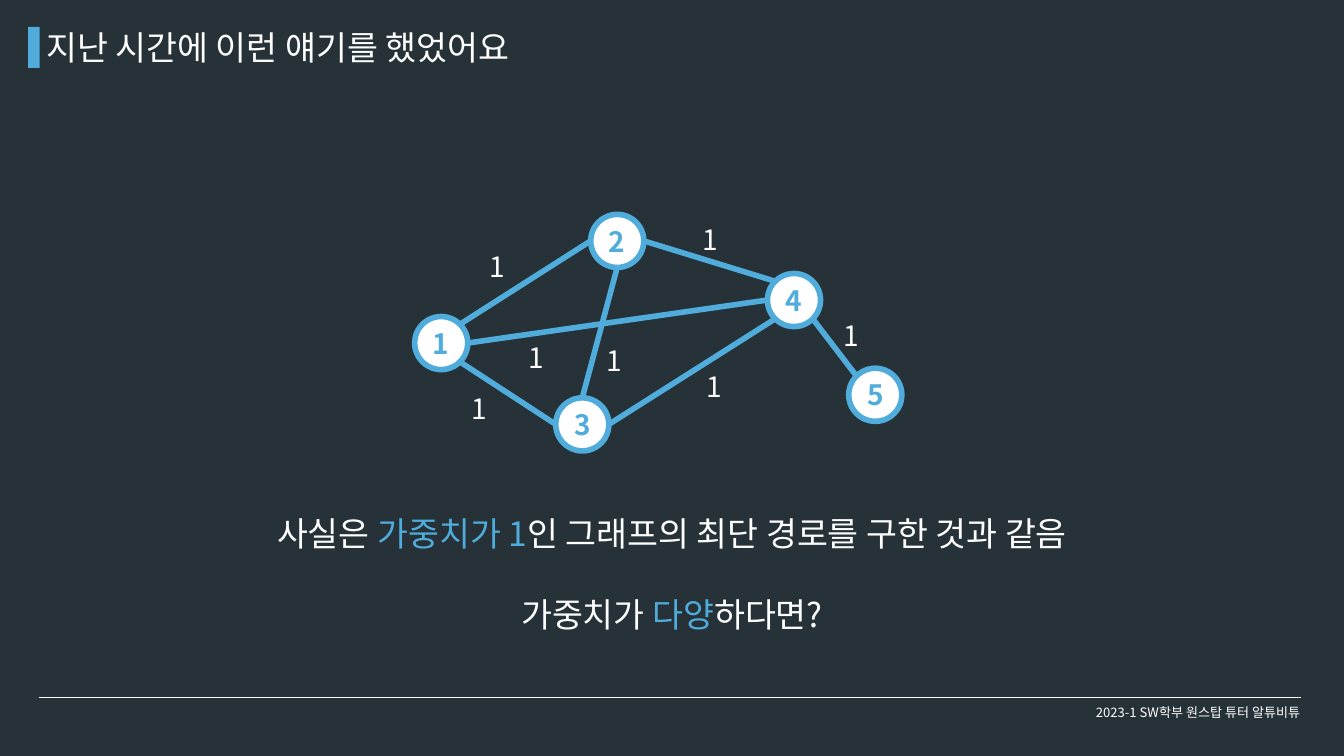
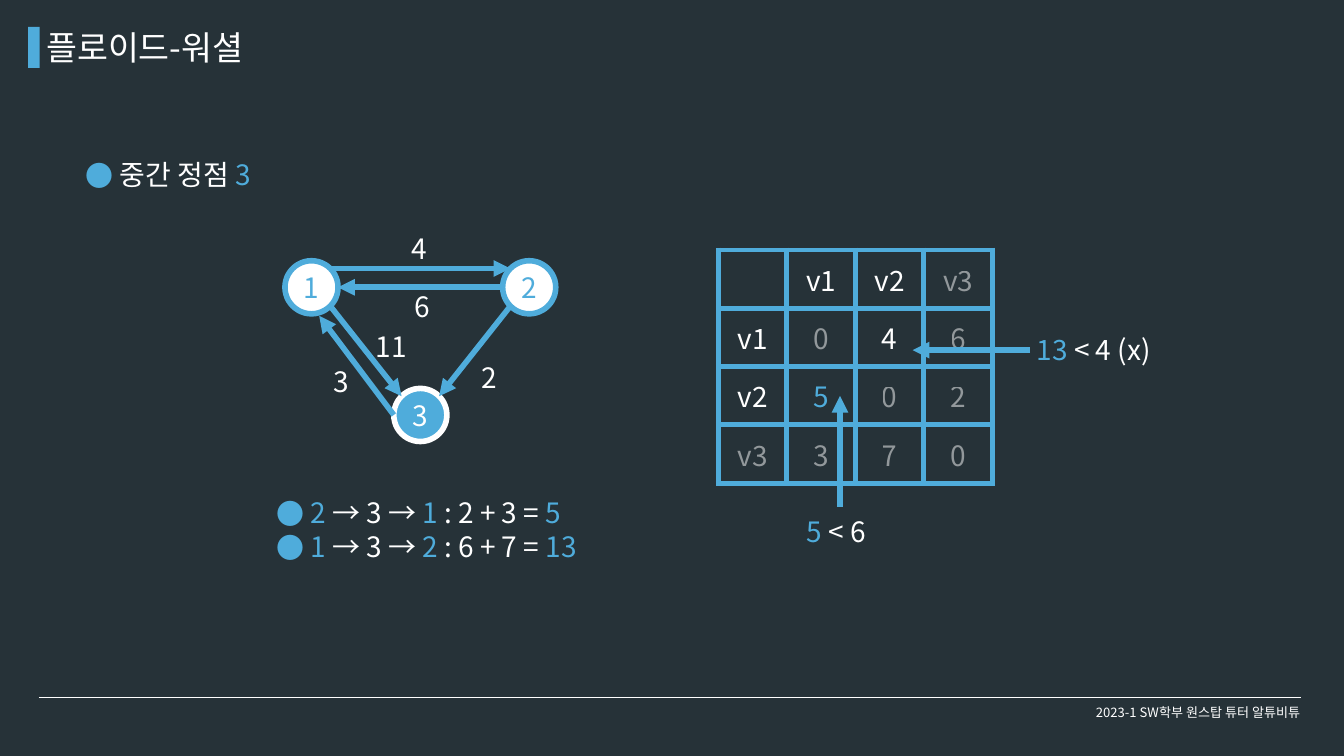
import lxml.etree
import pptx
import pptx.dml.color
import pptx.enum.shapes
import pptx.enum.text
import pptx.oxml.ns
import pptx.util

Inches, Pt = pptx.util.Inches, pptx.util.Pt
RGBColor = pptx.dml.color.RGBColor
ALIGN = pptx.enum.text.PP_ALIGN
ANCHOR = pptx.enum.text.MSO_ANCHOR
FIT = pptx.enum.text.MSO_AUTO_SIZE
SHAPE = pptx.enum.shapes.MSO_SHAPE

SLATE = RGBColor(0x26, 0x32, 0x38)
BLUE = RGBColor(0x4F, 0xAC, 0xDB)
WHITE = RGBColor(0xFF, 0xFF, 0xFF)
FONT = "Noto Sans CJK KR"
STROKE = 6
NODE = 0.79
LABEL_HEIGHT = 0.61

FOOTER = "2023-1 SW학부 원스탑 튜터 알튜비튜"

RECAP_TITLE = "지난 시간에 이런 얘기를 했었어요"
RECAP_NODES = {"1": (6.17, 4.71), "2": (8.79, 3.19), "3": (8.27, 5.92),
               "4": (11.42, 4.07), "5": (12.63, 5.48)}
RECAP_EDGES = [
    (("4", "top left"), ("2", "right")),
    (("3", "top"), ("2", "bottom")),
    (("1", "top right"), ("2", "left")),
    (("1", "bottom right"), ("3", "left")),
    (("4", "left"), ("1", "right")),
    (("4", "bottom left"), ("3", "right")),
    (("5", "top left"), ("4", "bottom right")),
]
RECAP_WEIGHTS = [("1", x, y) for x, y in (
    (7.19, 3.66), (6.92, 5.78), (8.92, 5.06), (7.76, 5.02),
    (10.42, 5.45), (12.46, 4.69), (10.36, 3.26))]
RECAP_MESSAGE = [
    ["사실은 ", ("가중치가 1", BLUE), "인 그래프의 최단 경로를 구한 것과 같음"],
    ["가중치가 ", ("다양", BLUE), "하다면?"],
]

FLOYD_TITLE = "플로이드-워셜"
FLOYD_TOPIC = [["중간 정점 ", ("3", BLUE)]]
FLOYD_NODES = {"1": (4.24, 3.88), "2": (7.48, 3.88), "3": (5.86, 5.78)}
FLOYD_EDGES = [
    (("1", "top right"), ("2", "top left")),
    (("1", "bottom right"), ("3", "top left")),
    (("2", "bottom left"), ("3", "top right")),
    (("2", "left"), ("1", "right")),
    (("3", "left"), (4.75, 4.7)),
]
FLOYD_WEIGHTS = [("4", 6.03, 3.39), ("6", 6.07, 4.26), ("11", 5.49, 4.85),
                 ("3", 4.87, 5.38), ("2", 7.07, 5.32)]
FLOYD_PATHS = [
    [("2 ", BLUE), "→ 3 → ", ("1", BLUE), " : 2 + 3 = ", ("5", BLUE)],
    [("1 ", BLUE), "→ 3 → ", ("2 ", BLUE), ": 6 + 7 = ", ("13", BLUE)],
]
DISTANCES = [
    ["", "v1", "v2", "v3"],
    ["v1", "0", "4", "6"],
    ["v2", "5", "0", "2"],
    ["v3", "3", "7", "0"],
]
ACTIVE_CELLS = {(0, 1): WHITE, (0, 2): WHITE, (1, 0): WHITE,
                (1, 2): WHITE, (2, 0): WHITE, (2, 1): BLUE}
COMPARISONS = [
    ([[("5 ", BLUE), "< 6"]], (11.91, 7.6, 1.19), (12.5, 7.54), (12.5, 5.89)),
    ([[("13 ", BLUE), "< 4 (x)"]], (15.33, 4.9, 2.05), (15.33, 5.21), (13.58, 5.21)),
]


def add_xml(parent, tag, **attributes):
    return lxml.etree.SubElement(parent, pptx.oxml.ns.qn(tag), attributes)


def write(frame, text, size=30, color=WHITE, bold=None, align=None,
          bullet=False, gap=0, alpha=None):
    paragraphs = [[text]] if isinstance(text, str) else text
    for index, runs in enumerate(paragraphs):
        paragraph = frame.add_paragraph() if index else frame.paragraphs[0]
        paragraph.alignment = align
        if index and gap:
            paragraph.space_before = Pt(gap)
        if bullet:
            properties = paragraph._p.get_or_add_pPr()
            properties.set("marL", str(Inches(0.5)))
            properties.set("indent", str(-Inches(0.5)))
            add_xml(add_xml(properties, "a:buClr"), "a:srgbClr", val=str(BLUE))
            add_xml(properties, "a:buFont", typeface=FONT)
            add_xml(properties, "a:buChar", char="●")
        for part in runs:
            words, run_color = (part, color) if isinstance(part, str) else part
            run = paragraph.add_run()
            run.text = words
            run.font.size = Pt(size)
            run.font.bold = bold
            run.font.color.rgb = run_color
            run.font.name = FONT
            add_xml(run.font._element, "a:ea", typeface=FONT)
            if alpha:
                fill = run.font._element.find(pptx.oxml.ns.qn("a:solidFill"))
                add_xml(fill[0], "a:alpha", val=str(alpha * 1000))


def add_text(slide, text, x, y, width, height=LABEL_HEIGHT, wrap=True,
             fit=True, anchor=ANCHOR.TOP, **style):
    box = slide.shapes.add_textbox(*map(Inches, (x, y, width, height)))
    frame = box.text_frame
    frame.word_wrap = wrap
    frame.auto_size = FIT.SHAPE_TO_FIT_TEXT if fit else FIT.NONE
    frame.vertical_anchor = anchor
    write(frame, text, **style)


def add_line(slide, start, end, color=BLUE, width=STROKE, arrow=False):
    line = slide.shapes.add_connector(
        pptx.enum.shapes.MSO_CONNECTOR.STRAIGHT, *map(Inches, (*start, *end)))
    line.line.color.rgb = color
    line.line.width = Pt(width)
    if arrow:
        add_xml(line.line._get_or_add_ln(), "a:tailEnd", type="triangle")
    add_xml(line._element.spPr, "a:effectLst")


def add_solid(slide, kind, x, y, width, height, fill):
    solid = slide.shapes.add_shape(kind, *map(Inches, (x, y, width, height)))
    solid.shadow.inherit = False
    solid.fill.solid()
    solid.fill.fore_color.rgb = fill
    solid.line.fill.background()
    return solid


def add_slide(deck, title):
    slide = deck.slides.add_slide(deck.slide_layouts[6])
    add_line(slide, (0.58, 10.38), (19.36, 10.38), WHITE, 0.75)
    add_solid(slide, SHAPE.RECTANGLE, 0.42, 0.4, 0.17, 0.61, BLUE)
    add_text(slide, title, 0.59, 0.35, 9.5, 0.71, size=36)
    add_text(slide, FOOTER, 15.83, 10.31, 4, 0.57, fit=False,
             anchor=ANCHOR.MIDDLE, size=14, align=ALIGN.CENTER)
    return slide


def edge_point(nodes, end):
    if end[0] not in nodes:
        return end
    name, side = end
    dx = ("right" in side) - ("left" in side)
    dy = ("bottom" in side) - ("top" in side)
    reach = NODE / 2 / (dx * dx + dy * dy) ** 0.5
    x, y = nodes[name]
    return x + NODE / 2 + dx * reach, y + NODE / 2 + dy * reach


def add_graph(slide, nodes, edges, weights, chosen=None, bold=None, arrow=False):
    for name, (x, y) in nodes.items():
        fill, ink = (BLUE, WHITE) if name == chosen else (WHITE, BLUE)
        node = add_solid(slide, SHAPE.OVAL, x, y, NODE, NODE, fill)
        node.line.color.rgb = ink
        node.line.width = Pt(STROKE)
        node.text_frame.vertical_anchor = ANCHOR.MIDDLE
        write(node.text_frame, name, color=ink, bold=bold, align=ALIGN.CENTER)
    for start, end in edges:
        add_line(slide, edge_point(nodes, start), edge_point(nodes, end), arrow=arrow)
    for weight, x, y in weights:
        add_text(slide, weight, x, y, 0.21 + 0.25 * len(weight), wrap=False)


def add_distances(slide):
    size = len(DISTANCES)
    table = slide.shapes.add_table(
        size, size, *map(Inches, (10.69, 3.72, 4.08, 3.47))).table
    table.first_row = table.horz_banding = False
    for r, row in enumerate(DISTANCES):
        for c, distance in enumerate(row):
            cell = table.cell(r, c)
            cell.vertical_anchor = ANCHOR.MIDDLE
            properties = cell._tc.get_or_add_tcPr()
            for side in ("a:lnL", "a:lnR", "a:lnT", "a:lnB"):
                border = add_xml(properties, side, w=str(Pt(STROKE)))
                add_xml(add_xml(border, "a:solidFill"), "a:srgbClr", val=str(BLUE))
            cell.fill.background()
            active = ACTIVE_CELLS.get((r, c))
            write(cell.text_frame, distance, color=active or WHITE,
                  align=ALIGN.CENTER, alpha=None if active else 50)


def build_recap(deck):
    slide = add_slide(deck, RECAP_TITLE)
    add_text(slide, RECAP_MESSAGE, 2, 7.58, 16, 1.92, size=36,
             align=ALIGN.CENTER, gap=43.4)
    add_graph(slide, RECAP_NODES, RECAP_EDGES, RECAP_WEIGHTS, bold=True)


def build_floyd(deck):
    slide = add_slide(deck, FLOYD_TITLE)
    add_text(slide, FLOYD_TOPIC, 1.18, 2.3, 3.25, bullet=True)
    add_graph(slide, FLOYD_NODES, FLOYD_EDGES, FLOYD_WEIGHTS, chosen="3", arrow=True)
    add_text(slide, FLOYD_PATHS, 4.02, 7.33, 5.82, 1.11, bullet=True)
    add_distances(slide)
    for comparison, place, start, end in COMPARISONS:
        add_line(slide, start, end, arrow=True)
        add_text(slide, comparison, *place, wrap=False)


def main():
    deck = pptx.Presentation()
    deck.slide_width, deck.slide_height = Inches(20), Inches(11.25)
    background = deck.slide_master.background.fill
    background.solid()
    background.fore_color.rgb = SLATE
    build_recap(deck)
    build_floyd(deck)
    deck.save("out.pptx")


if __name__ == "__main__":
    main()
